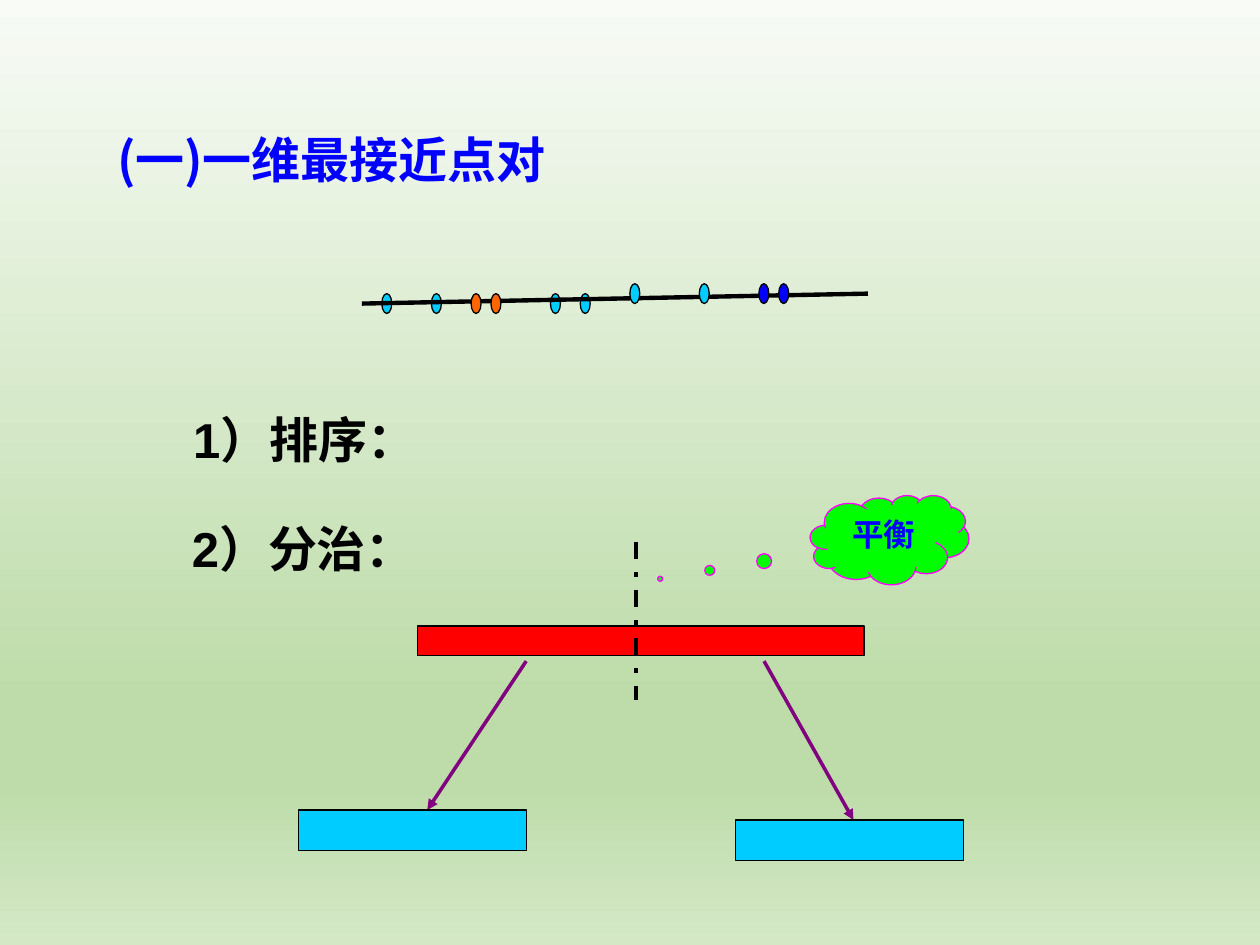
from copy import deepcopy

from lxml import etree
from pptx import Presentation
from pptx.dml.color import RGBColor
from pptx.enum.dml import MSO_LINE
from pptx.enum.shapes import MSO_CONNECTOR, MSO_SHAPE
from pptx.enum.text import MSO_ANCHOR, PP_ALIGN
from pptx.oxml.ns import qn
from pptx.util import Pt

STRAIGHT = MSO_CONNECTOR.STRAIGHT
RECTANGLE = MSO_SHAPE.RECTANGLE
DOT = MSO_SHAPE.FLOWCHART_CONNECTOR
CLOUD = MSO_SHAPE.CLOUD_CALLOUT
DASH_DOT = MSO_LINE.DASH_DOT
TOP = MSO_ANCHOR.TOP
CENTER = PP_ALIGN.CENTER

BLACK = RGBColor(0x00, 0x00, 0x00)
BLUE = RGBColor(0x00, 0x00, 0xFF)
CYAN = RGBColor(0x00, 0xCC, 0xFF)
ORANGE = RGBColor(0xFF, 0x66, 0x00)
RED = RGBColor(0xFF, 0x00, 0x00)
PURPLE = RGBColor(0x80, 0x00, 0x80)
GREEN = RGBColor(0x00, 0xFF, 0x00)
MAGENTA = RGBColor(0xFF, 0x00, 0xFF)
BACKGROUND_STOPS = [
    (0, RGBColor(0xF8, 0xFB, 0xF6)),
    (0.74, RGBColor(0xBE, 0xDC, 0xAA)),
    (0.83, RGBColor(0xBE, 0xDC, 0xAA)),
    (1, RGBColor(0xD4, 0xE8, 0xC6)),
]

LATIN = "Arial"
CHINESE = "Noto Sans CJK SC"


def paint_background(slide):
    fill = slide.background.fill
    fill.gradient()
    fill.gradient_angle = 270
    stop_list = slide.element.find(".//" + qn("a:gsLst"))
    while len(stop_list) < len(BACKGROUND_STOPS):
        stop_list.append(deepcopy(stop_list[0]))
    for stop, (position, color) in zip(fill.gradient_stops, BACKGROUND_STOPS):
        stop.position = position
        stop.color.rgb = color


def add_run(paragraph, text, size, color, font_name):
    run = paragraph.add_run()
    run.text = text
    font = run.font
    font.size = Pt(size)
    font.bold = True
    font.color.rgb = color
    font.name = font_name
    east_asian = etree.SubElement(font._element, qn("a:ea"))
    east_asian.set("typeface", CHINESE)


def add_label(slide, box, text, color, font_name):
    shape = slide.shapes.add_textbox(*map(Pt, box))
    shape.text_frame.word_wrap = True
    add_run(shape.text_frame.paragraphs[0], text, 28, color, font_name)


def add_solid(slide, kind, box, fill, line=BLACK, line_width=0.75):
    shape = slide.shapes.add_shape(kind, *map(Pt, box))
    shape.shadow.inherit = False
    shape.fill.solid()
    shape.fill.fore_color.rgb = fill
    shape.line.color.rgb = line
    shape.line.width = Pt(line_width)
    return shape


def add_line(slide, start, end, color, width, arrow=False):
    connector = slide.shapes.add_connector(STRAIGHT, *map(Pt, start + end))
    connector.line.color.rgb = color
    connector.line.width = Pt(width)
    if arrow:
        tail = etree.SubElement(connector.line._get_or_add_ln(), qn("a:tailEnd"))
        tail.set("type", "triangle")
    etree.SubElement(connector._element.spPr, qn("a:effectLst"))
    return connector


def add_point_line(slide, box):
    """Points on a slightly rising axis, placed in steps of one dot width."""
    left, top, width, height = box
    step = 5.67
    first_dot = left + 11.4
    lower = top

    def add_dots(steps, dot_top, color):
        for count in steps:
            dot = (first_dot + count * step, dot_top, step, 2 * step)
            add_solid(slide, DOT, dot, color)

    # Cyan points behind the axis
    add_dots((0, 5, 17, 20), lower, CYAN)
    add_line(slide, (left, top + height), (left + width, top), BLACK, 2.5)
    # Points in front of the axis, with the close pairs highlighted
    add_dots((9, 11), lower, ORANGE)
    add_dots((25, 32), lower - step, CYAN)
    add_dots((38, 40), lower - step, BLUE)


def add_division(slide, box):
    """A whole bar, cut by a dashed line, leading to two halves."""
    left, top, width, height = box
    half_width, half_height = 130.3, 23
    right_half_top = top + height - half_height
    left_half_top = right_half_top - step_between_halves(half_height)

    # Whole bar and dividing line
    add_solid(slide, RECTANGLE, (left + 68.2, top + 48.2, 255.2, 17), RED)
    middle = left + 193
    divider = add_line(slide, (middle, top), (middle, top + 90.7), BLACK, 2.5)
    divider.line.dash_style = DASH_DOT

    # Arrows to the halves
    arrow_top = top + 68.2
    add_line(slide, (left + half_width, arrow_top), (left + 73.8, left_half_top),
             PURPLE, 2, arrow=True)
    add_line(slide, (left + 266.2, arrow_top), (left + 317.3, right_half_top),
             PURPLE, 2, arrow=True)

    # Left and right halves
    right_left = left + width - half_width
    for half_left, half_top in ((left, left_half_top), (right_left, right_half_top)):
        add_solid(slide, RECTANGLE, (half_left, half_top, half_width, half_height), CYAN)


def step_between_halves(half_height):
    return half_height / 4


def add_balance_cloud(slide, box):
    cloud = add_solid(slide, CLOUD, box, GREEN, MAGENTA, 0)
    cloud.adjustments[0] = -1.445
    cloud.adjustments[1] = 0.436
    frame = cloud.text_frame
    frame.word_wrap = True
    frame.vertical_anchor = TOP
    paragraph = frame.paragraphs[0]
    paragraph.alignment = CENTER
    add_run(paragraph, "平衡", 18, BLUE, LATIN)


def main():
    presentation = Presentation()
    presentation.slide_width = Pt(720)
    presentation.slide_height = Pt(540)
    slide = presentation.slides.add_slide(presentation.slide_layouts[6])
    paint_background(slide)

    # Title
    add_label(slide, (59.8, 70.6, 300, 41), "(一)一维最接近点对", BLUE, CHINESE)
    # Points on a line
    add_point_line(slide, (206.8, 167.8, 289.2, 5.7))
    # Steps
    add_label(slide, (103.3, 230.4, 144, 41), "1）排序：", BLACK, LATIN)
    add_label(slide, (102.6, 293, 144, 41), "2）分治：", BLACK, LATIN)
    # Divide and conquer
    add_division(slide, (170.4, 309.6, 380.3, 182))
    add_balance_cloud(slide, (463, 283, 90.7, 51))

    presentation.save("out.pptx")


if __name__ == "__main__":
    main()
